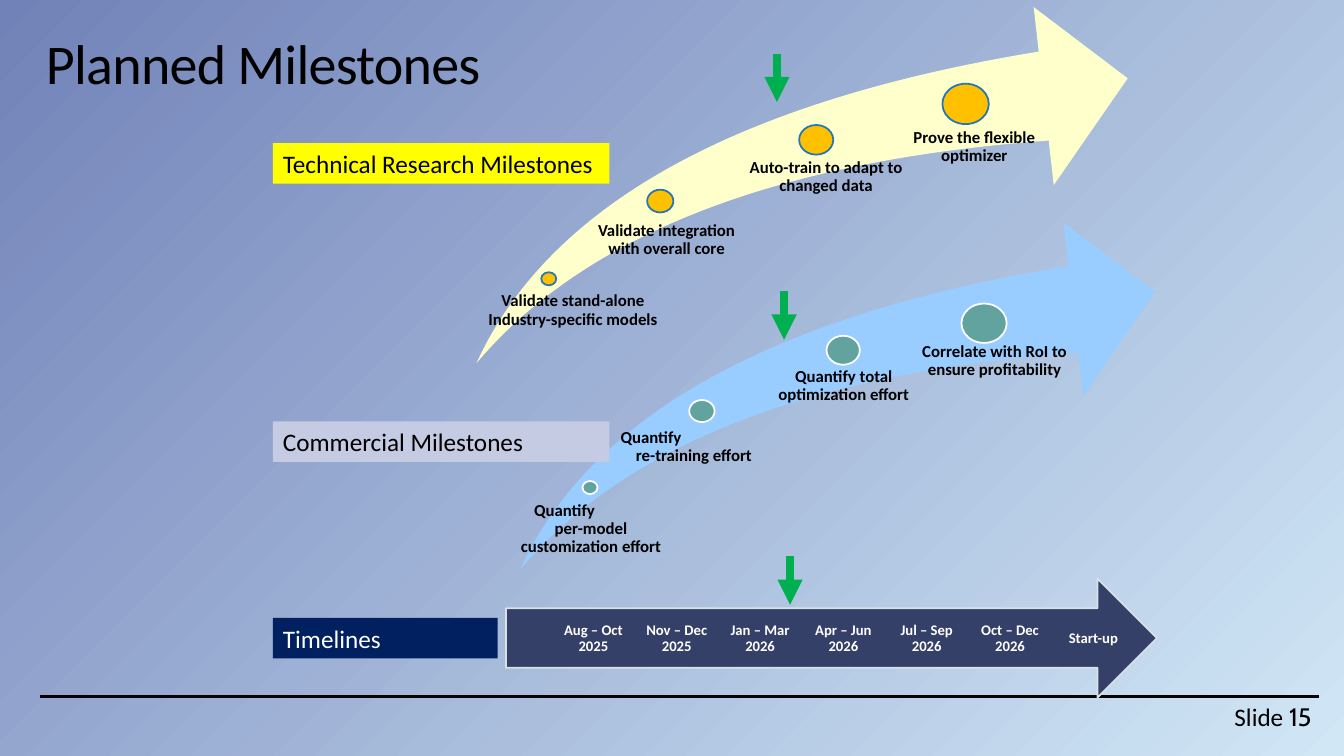
from lxml.etree import SubElement
from pptx import Presentation
from pptx.dml.color import RGBColor
from pptx.enum.shapes import MSO_CONNECTOR, MSO_SHAPE
from pptx.enum.text import MSO_ANCHOR, PP_ALIGN
from pptx.oxml import parse_xml
from pptx.oxml.ns import nsdecls, qn
from pptx.util import Cm, Pt

COLORS = {
    "black": "000000", "white": "FFFFFF", "green": "00B050",
    "cream": "FFFFCC", "amber": "FFC000", "amber_edge": "2277B4",
    "sky": "99CCFF", "teal": "62A39F", "indigo": "344068", "indigo_edge": "D9E0E6",
    "navy": "002060", "lavender": "C4CBE2", "yellow": "FFFF00",
    "light": "D1E7F6", "dusk": "7182B8",
}
LABEL_INSETS = (0.18, 0.3, 0.41, 0.53)
TECHNICAL = [
    ((13.64, 6.86, 0.38), (11.96, 7.37, 4.78, 1.19), ["Validate stand-alone Industry-specific models"], 0),
    ((16.31, 4.78, 0.66), (14.76, 5.59, 3.78, 1.17), ["Validate integration with overall core"], 0),
    ((20.14, 3.15, 0.86), (18.42, 4.01, 4.39, 1.27), ["Auto-train to adapt to changed data"], 0),
    ((23.75, 2.11, 1.17), (22.12, 3.25, 4.34, 1.02), ["Prove the flexible optimizer"], 0),
]
COMMERCIAL = [
    ((14.68, 12.12, 0.38), (12.9, 12.65, 3.81, 1.32), ["Quantify", "per-model customization effort"], 0.38),
    ((17.37, 10.08, 0.64), (15.09, 10.8, 4.5, 1.14), ["Quantify", "re-training effort"], 0.25),
    ((20.83, 8.46, 0.84), (18.62, 9.27, 4.88, 0.94), ["Quantify total optimization effort"], 0),
    ((24.23, 7.65, 1.14), (22.63, 8.64, 4.34, 1.24), ["Correlate with RoI to ensure profitability"], 0),
]
PERIODS = ["Aug – Oct 2025", "Nov – Dec 2025", "Jan – Mar 2026", "Apr – Jun 2026",
           "Jul – Sep 2026", "Oct – Dec 2026", "Start-up"]


def rgb(name):
    """Return the named colour."""
    return RGBColor.from_string(COLORS[name])


def paint_background(page):
    """Fill the page with a gradient centred on the lower right corner."""
    page._element.cSld.insert(0, parse_xml(
        f'<p:bg {nsdecls("p", "a")}><p:bgPr><a:gradFill rotWithShape="1"><a:gsLst>'
        f'<a:gs pos="0"><a:srgbClr val="{COLORS["light"]}"/></a:gs>'
        f'<a:gs pos="100000"><a:srgbClr val="{COLORS["dusk"]}"/></a:gs></a:gsLst>'
        '<a:path path="circle"><a:fillToRect l="100000" t="100000"/></a:path>'
        '</a:gradFill><a:effectLst/></p:bgPr></p:bg>'))


def add_line(page, start, end, color, width, arrow=False):
    """Draw a straight line, optionally with an arrowhead at its end."""
    line = page.shapes.add_connector(MSO_CONNECTOR.STRAIGHT, *map(Cm, start + end))
    line.line.color.rgb = rgb(color)
    line.line.width = Pt(width)
    if arrow:
        SubElement(line.line._get_or_add_ln(), qn("a:tailEnd"), type="triangle")
    SubElement(line._element.spPr, qn("a:effectLst"))


def add_figure(page, kind, place, fill, edge=None):
    """Draw a flat preset shape."""
    figure = page.shapes.add_shape(kind, *map(Cm, place))
    figure.shadow.inherit = False
    figure.fill.solid()
    figure.fill.fore_color.rgb = rgb(fill)
    if edge:
        figure.line.color.rgb = rgb(edge)
        figure.line.width = Pt(1.25)
    else:
        figure.line.fill.background()
    return figure


def add_box(page, place, insets=(0.25, 0.13, 0.25, 0.13), anchor=MSO_ANCHOR.TOP):
    """Add a wrapping text box and return its text frame."""
    frame = page.shapes.add_textbox(*map(Cm, place)).text_frame
    set_frame(frame, insets, anchor)
    return frame


def set_frame(frame, insets, anchor):
    """Set wrapping, insets and anchor of a text frame."""
    frame.word_wrap = True
    frame.vertical_anchor = anchor
    frame.margin_left, frame.margin_top, frame.margin_right, frame.margin_bottom = map(Cm, insets)


def add_span(para, text, size, color="black", bold=False, font="Calibri"):
    """Append a formatted run to a paragraph."""
    span = para.add_run()
    span.text = text
    span.font.size = Pt(size)
    span.font.name = font
    span.font.bold = bold
    span.font.color.rgb = rgb(color)
    return span


def add_caption(frame, lines, size, color="black", indent=0):
    """Write centred bold lines; an indent sets the first one from the left."""
    for index, text in enumerate(lines):
        para = frame.paragraphs[0] if index == 0 else frame.add_paragraph()
        para.alignment = PP_ALIGN.CENTER
        para.line_spacing = 0.9
        if indent and index == 0:
            para.alignment = PP_ALIGN.LEFT
            para._p.get_or_add_pPr().set("marL", str(Cm(indent)))
        add_span(para, text, size, color, True)


def add_track(page, place, fill, milestones, dot_fill, dot_edge):
    """Draw a rising arrow with its milestone dots and captions."""
    swoosh = add_figure(page, MSO_SHAPE.SWOOSH_ARROW, place, fill)
    swoosh.adjustments[0] = 0.25
    swoosh.adjustments[1] = 0.25
    for inset, ((left, top, width), label, lines, indent) in zip(LABEL_INSETS, milestones):
        add_figure(page, MSO_SHAPE.OVAL, (left, top, width, width * 0.87), dot_fill, dot_edge)
        add_caption(add_box(page, label, (inset, 0, 0, 0)), lines, 12, indent=indent)


def add_timeline(page):
    """Draw the timeline arrow with evenly spaced periods."""
    add_figure(page, MSO_SHAPE.RIGHT_ARROW, (12.75, 14.58, 16.41, 3), "indigo", "indigo_edge")
    for index, period in enumerate(PERIODS):
        place = (14.08 + 2.1 * index, 15.34, 1.75, 1.5)
        frame = add_box(page, place, (0, 0.3, 0, 0.3), MSO_ANCHOR.MIDDLE)
        add_caption(frame, [period], 10.5, "white")


def add_tag(page, top, width, text, fill, color):
    """Draw a row heading on a coloured bar."""
    tag = add_figure(page, MSO_SHAPE.RECTANGLE, (6.88, top, width, 1.02), fill)
    set_frame(tag.text_frame, (0.25, 0.13, 0.25, 0.13), MSO_ANCHOR.TOP)
    para = tag.text_frame.paragraphs[0]
    para.alignment = PP_ALIGN.LEFT
    add_span(para, text, 18, color)


def main():
    """Build and save the milestone slide."""
    deck = Presentation()
    deck.slide_width, deck.slide_height = Cm(33.87), Cm(19.05)
    page = deck.slides.add_slide(deck.slide_layouts[6])
    paint_background(page)

    add_line(page, (1.02, 17.55), (33.25, 17.55), "black", 2.25)
    footer = add_box(page, (30.86, 17.55, 2.74, 1.02)).paragraphs[0]
    add_span(footer, "Slide ", 18)
    add_span(footer, "15", 18, font="Cabin")

    title = add_box(page, (0.91, 0.28, 11.99, 2.29), anchor=MSO_ANCHOR.BOTTOM).paragraphs[0]
    title.line_spacing = 0.9
    heading = add_span(title, "Planned Milestones", 40)
    heading.font._element.set("spc", "-50")

    add_track(page, (12.01, 0.18, 16.41, 8.97), "cream", TECHNICAL, "amber", "amber_edge")
    add_track(page, (13.11, 5.61, 16, 8.74), "sky", COMMERCIAL, "teal", "white")
    add_timeline(page)
    for left, top in ((19.91, 14.02), (19.76, 7.34), (19.58, 1.35)):
        add_line(page, (left, top), (left, top + 1.22), "green", 6, arrow=True)

    add_tag(page, 15.57, 5.66, "Timelines", "navy", "white")
    add_tag(page, 10.62, 8.48, "Commercial Milestones", "lavender", "black")
    add_tag(page, 3.61, 8.48, "Technical Research Milestones", "yellow", "black")
    deck.save("out.pptx")


if __name__ == "__main__":
    main()
